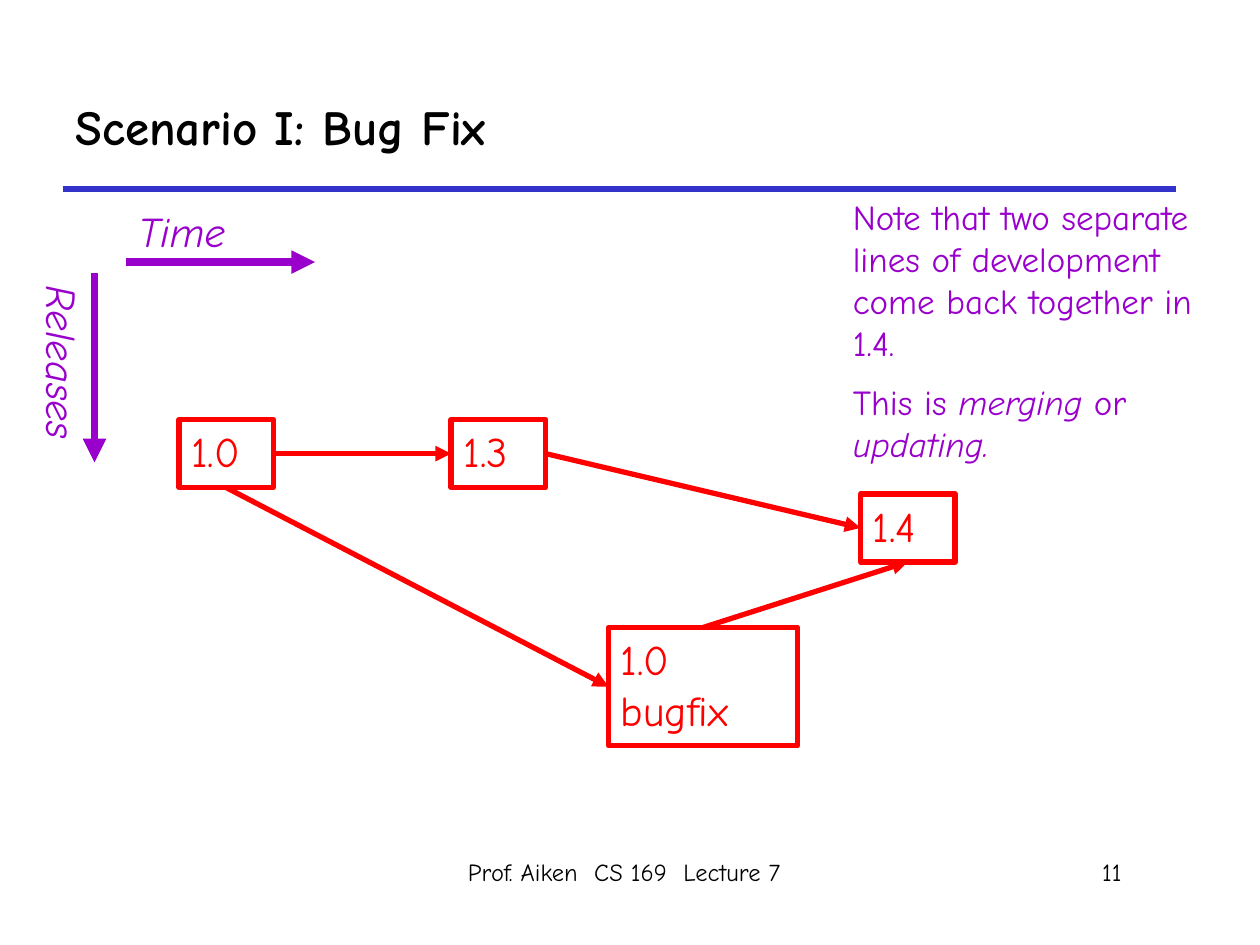
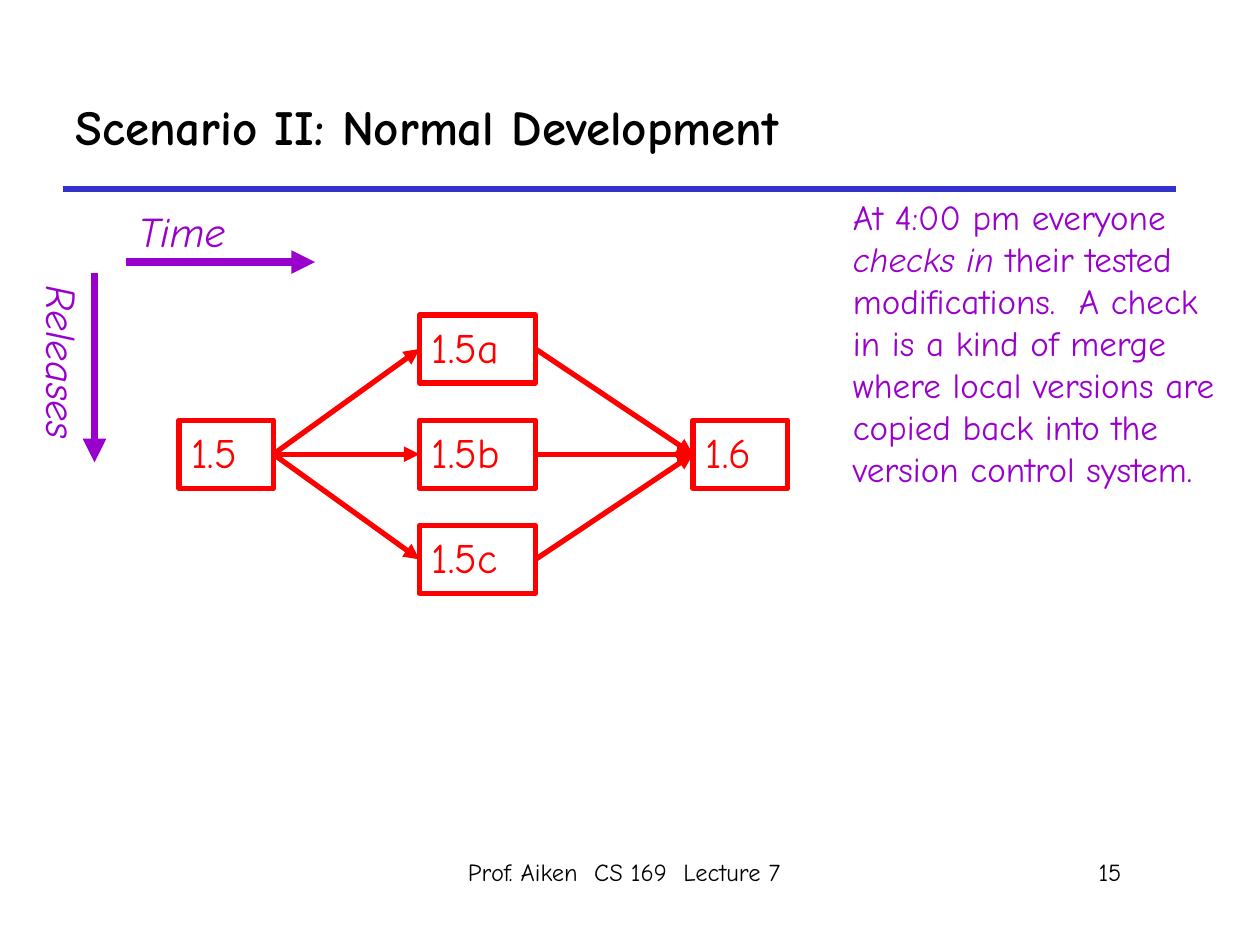
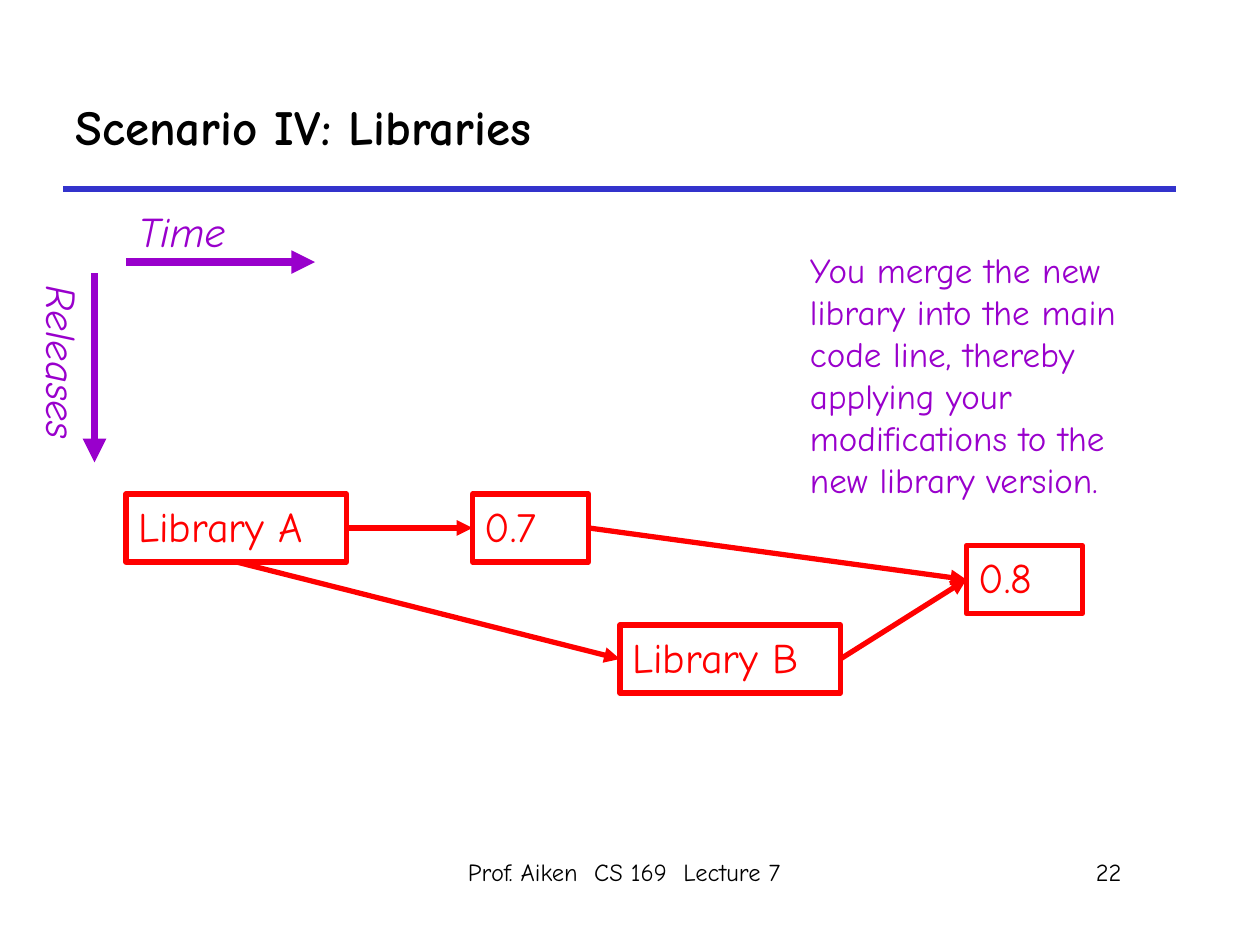
from lxml.etree import SubElement
from pptx import Presentation
from pptx.dml.color import RGBColor
from pptx.enum.shapes import MSO_CONNECTOR, MSO_SHAPE
from pptx.enum.text import MSO_ANCHOR, MSO_AUTO_SIZE, PP_ALIGN
from pptx.oxml.ns import qn
from pptx.util import Inches, Pt

FONT = "Comic Neue"
BLACK, BLUE, RED, PURPLE = "000000", "3333CC", "FF0000", "9900CC"
TOP, LEFT, BOTTOM, RIGHT = range(4)  # connection sites of a rectangle
BOX_HEIGHT = 0.54
FOOTER = "Prof. Aiken  CS 169  Lecture 7"


def color(hex_code):
    return RGBColor.from_string(hex_code)


def write(shape, paragraphs, size, hex_code, align=PP_ALIGN.LEFT, bold=False,
          anchor=MSO_ANCHOR.TOP, grow=False):
    """Fill a shape with paragraphs, where *asterisks* enclose italics."""
    frame = shape.text_frame
    frame.word_wrap = True
    frame.vertical_anchor = anchor
    frame.auto_size = MSO_AUTO_SIZE.SHAPE_TO_FIT_TEXT if grow else MSO_AUTO_SIZE.NONE
    for index, text in enumerate(paragraphs):
        paragraph = frame.add_paragraph() if index else frame.paragraphs[0]
        paragraph.alignment = align
        if index:
            paragraph.space_before = Pt(size / 2)
        font = paragraph.font
        font.name, font.size, font.bold = FONT, Pt(size), bold
        font.color.rgb = color(hex_code)
        for part, words in enumerate(text.split("*")):
            if words:
                run = paragraph.add_run()
                run.text = words
                run.font.italic = part % 2 == 1


def add_text(slide, box, paragraphs, size, hex_code, **style):
    label = slide.shapes.add_textbox(*map(Inches, box))
    write(label, paragraphs, size, hex_code, **style)
    return label


def add_line(slide, start, end, hex_code, width, arrow=True):
    line = slide.shapes.add_connector(
        MSO_CONNECTOR.STRAIGHT, *map(Inches, (*start, *end)))
    line.line.color.rgb = color(hex_code)
    line.line.width = Pt(width)
    if arrow:
        SubElement(line.get_or_add_ln(), qn("a:tailEnd"), type="triangle")
    SubElement(line._element.spPr, qn("a:effectLst"))
    return line


def add_version(slide, text, left, top, width=0.75, height=BOX_HEIGHT):
    version = slide.shapes.add_shape(
        MSO_SHAPE.RECTANGLE, *map(Inches, (left, top, width, height)))
    version.shadow.inherit = False
    version.fill.background()
    version.line.color.rgb = color(RED)
    version.line.width = Pt(3)
    write(version, [text], 24, RED, grow=True)
    return version


def link(slide, source, target, leave=RIGHT, enter=LEFT):
    arrow = add_line(slide, (0, 0), (0, 0), RED, 3)
    arrow.begin_connect(source, leave)
    arrow.end_connect(target, enter)


def add_axes(slide, left, top):
    """Draw the Time and Releases arrows beside the corner (left, top)."""
    length = 1.5
    add_line(slide, (left + 0.25, top), (left + 0.25 + length, top), PURPLE, 4.5)
    add_text(slide, (left + 0.25, top - 0.5, length, 0.5), ["*Time*"], 24, PURPLE, grow=True)
    add_line(slide, (left, top + 0.09), (left, top + 0.09 + length), PURPLE, 4.5)
    releases = add_text(slide, (left - 1.08, top + 0.67, 1.67, 0.5),
                        ["*Releases*"], 24, PURPLE, grow=True)
    releases.rotation = 90


def add_note(slide, left, top, height, *paragraphs):
    add_text(slide, (left, top, 3.08, height), paragraphs, 20, PURPLE, grow=True)


def add_scenario(deck, title, number):
    """Add a slide with the title, rule, footer and axes of every scenario."""
    slide = deck.slides.add_slide(deck.slide_layouts[6])
    add_line(slide, (0.5, 1.5), (9.33, 1.5), BLUE, 3, arrow=False)
    add_text(slide, (3.08, 6.75, 3.75, 0.5), [FOOTER], 14, BLACK, align=PP_ALIGN.CENTER)
    add_text(slide, (6.92, 6.75, 2.08, 0.5), [str(number)], 14, BLACK, align=PP_ALIGN.RIGHT)
    add_text(slide, (0.5, 0.5, 8.83, 1), [title], 28, BLACK, bold=True,
             anchor=MSO_ANCHOR.MIDDLE)
    add_axes(slide, 0.75, 2.08)
    return slide


def add_bug_fix(slide, left, top):
    release = add_version(slide, "1.0", left, top)
    development = add_version(slide, "1.3", left + 2.16, top)
    bugfix = add_version(slide, "1.0 bugfix", left + 3.41, top + 1.65, 1.5, 0.94)
    merged = add_version(slide, "1.4", left + 5.41, top + 0.59)
    link(slide, release, development)
    link(slide, release, bugfix, leave=BOTTOM)
    link(slide, development, merged)
    link(slide, bugfix, merged, leave=TOP, enter=BOTTOM)


def add_parallel_work(slide, left, top):
    pitch = 0.835
    base = add_version(slide, "1.5", left, top + pitch)
    merged = add_version(slide, "1.6", left + 4.08, top + pitch)
    for row, name in enumerate(("1.5a", "1.5b", "1.5c")):
        local = add_version(slide, name, left + 1.91, top + row * pitch, 0.92)
        link(slide, base, local)
        link(slide, local, merged)


def add_library_merge(slide, left, top):
    library_a = add_version(slide, "Library A", left, top, 1.75)
    modified = add_version(slide, "0.7", left + 2.75, top, 0.92)
    library_b = add_version(slide, "Library B", left + 3.92, top + 1.04, 1.75)
    merged = add_version(slide, "0.8", left + 6.67, top + 0.41, 0.92)
    link(slide, library_a, modified)
    link(slide, library_a, library_b, leave=BOTTOM)
    link(slide, modified, merged)
    link(slide, library_b, merged)


def main():
    deck = Presentation()
    deck.slide_width, deck.slide_height = Inches(10), Inches(7.5)

    bug_fix = add_scenario(deck, "Scenario I: Bug Fix", 11)
    add_bug_fix(bug_fix, 1.42, 3.33)
    add_note(bug_fix, 6.67, 1.5, 2.27,
             "Note that two separate lines of development come back together in 1.4.",
             "This is *merging* or *updating.*")

    development = add_scenario(deck, "Scenario II: Normal Development", 15)
    add_parallel_work(development, 1.42, 2.5)
    add_note(development, 6.67, 1.5, 2.77,
             "At 4:00 pm everyone *checks in* their tested modifications.  "
             "A check in is a kind of merge where local versions are copied "
             "back into the version control system.")

    libraries = add_scenario(deck, "Scenario IV: Libraries", 22)
    add_library_merge(libraries, 1, 3.92)
    add_note(libraries, 6.33, 1.92, 2.1,
             "You merge the new library into the main code line, thereby "
             "applying your modifications to the new library version.")

    deck.save("out.pptx")


if __name__ == "__main__":
    main()
